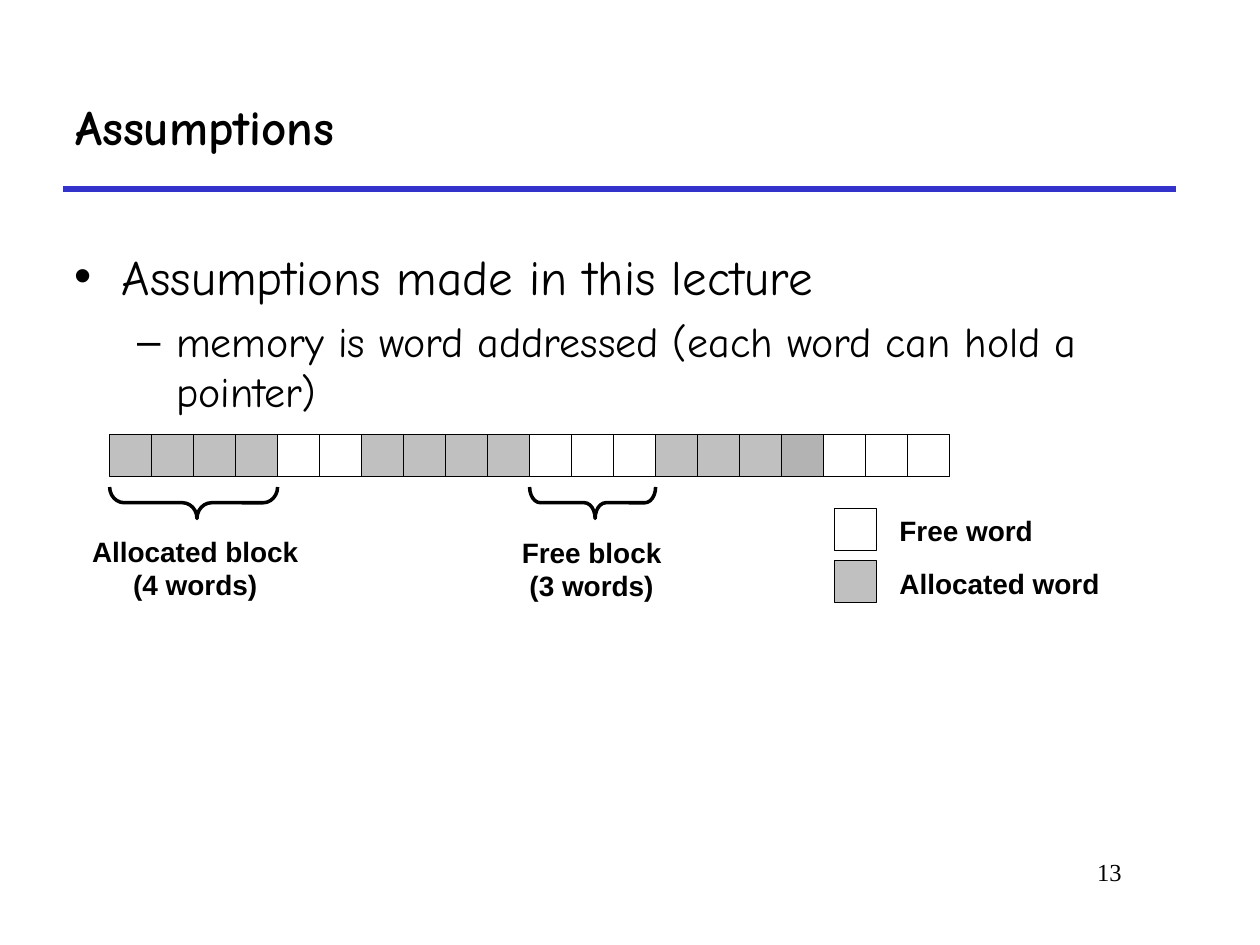
from lxml import etree
from pptx import Presentation
from pptx.dml.color import RGBColor
from pptx.enum import shapes, text
from pptx.oxml.ns import qn
from pptx.util import Inches, Pt

COLORS = {"black": "000000", "white": "FFFFFF", "grey": "C0C0C0",
          "dark_grey": "B3B3B3", "blue": "3333CC"}
WORD = 1 / 3
ROW_LEFT, ROW_TOP = 0.87, 3.45


def add_text(box, lines, font, size, bold=False, align=None, wrap=False):
    """Add a text box with one run per line and return its text frame."""
    tf = s.shapes.add_textbox(*[Inches(v) for v in box]).text_frame
    tf.word_wrap = wrap
    for i, line in enumerate(lines):
        p = tf.paragraphs[0] if i == 0 else tf.add_paragraph()
        p.alignment = align
        r = p.add_run()
        r.text = line
        r.font.name, r.font.size, r.font.bold = font, Pt(size), bold
        r.font.color.rgb = RGBColor.from_string(COLORS["black"])
    return tf


def add_outlined(kind, box, width, fill=None):
    """Add a preset shape with a black outline and an optional fill."""
    sp = s.shapes.add_shape(kind, *[Inches(v) for v in box])
    sp.shadow.inherit = False
    sp.line.color.rgb = RGBColor.from_string(COLORS["black"])
    sp.line.width = Pt(width)
    if fill:
        sp.fill.solid()
        sp.fill.fore_color.rgb = RGBColor.from_string(COLORS[fill])
    else:
        sp.fill.background()
    return sp


prs = Presentation()
prs.slide_width, prs.slide_height = Inches(10), Inches(7.5)
s = prs.slides.add_slide(prs.slide_layouts[6])

# Title, rule and page number
rule = s.shapes.add_connector(shapes.MSO_CONNECTOR.STRAIGHT, Inches(0.5),
                              Inches(1.5), Inches(9.33), Inches(1.5))
rule.line.color.rgb = RGBColor.from_string(COLORS["blue"])
rule.line.width = Pt(3)
etree.SubElement(rule._element.spPr, qn("a:effectLst"))
title = add_text((0.5, 0.5, 8.83, 1), ["Assumptions"], "Comic Neue", 28,
                 bold=True, wrap=True)
title.vertical_anchor = text.MSO_ANCHOR.MIDDLE
add_text((7.58, 6.75, 1.42, 0.5), ["13"], "Times New Roman", 14,
         align=text.PP_ALIGN.RIGHT, wrap=True)

# Bulleted body
body = add_text((0.49, 1.67, 9.03, 5.33),
                ["Assumptions made in this lecture",
                 "memory is word addressed (each word can hold a pointer)"],
                "Comic Neue", 28, wrap=True)
levels = [("•", 0.38, -0.38, 28, 7, 1.5), ("–", 0.81, -0.31, 24, 6, 1.0)]
for level, (p, (bullet, left, indent, size, before, spacing)) in enumerate(
        zip(body.paragraphs, levels)):
    p.level = level
    p.space_before, p.line_spacing = Pt(before), spacing
    p.runs[0].font.size = Pt(size)
    pPr = p._p.get_or_add_pPr()
    pPr.set("marL", str(Inches(left)))
    pPr.set("indent", str(Inches(indent)))
    etree.SubElement(pPr, qn("a:buFont")).set("typeface", "Arial")
    etree.SubElement(pPr, qn("a:buChar")).set("char", bullet)

# Row of memory words
blocks = [("grey", 4), ("white", 2), ("grey", 4), ("white", 3),
          ("grey", 3), ("dark_grey", 1), ("white", 3)]
words = [fill for fill, count in blocks for _ in range(count)]
for i, fill in enumerate(words):
    add_outlined(shapes.MSO_SHAPE.RECTANGLE,
                 (ROW_LEFT + i * WORD, ROW_TOP, WORD, WORD), 0.26, fill)

# Braces under two blocks: first word, word count, curve, label, label box
braces = [(0, 4, 0.46, "Allocated block", (0.63, 4.19, 1.84, 0.64)),
          (10, 3, 0.34, "Free block", (4.04, 4.2, 1.31, 0.64))]
for first, count, curve, label, box in braces:
    span, depth = count * WORD, 0.25
    center = ROW_LEFT + first * WORD + span / 2
    brace = add_outlined(shapes.MSO_SHAPE.RIGHT_BRACE,
                         (center - depth / 2, 3.99 - span / 2, depth, span), 2)
    brace.rotation = 90
    brace.adjustments[0], brace.adjustments[1] = curve, 0.48
    add_text(box, [label, f"({count} words)"], "Arial", 16, bold=True,
             align=text.PP_ALIGN.CENTER)

# Legend
legend = [("white", "Free word", 4.03, 1.26),
          ("grey", "Allocated word", 4.45, 1.79)]
for fill, label, top, width in legend:
    add_outlined(shapes.MSO_SHAPE.RECTANGLE, (6.62, top, WORD, WORD), 0.26, fill)
    add_text((7.04, top, width, 0.37), [label], "Arial", 16, bold=True)

prs.save("out.pptx")
